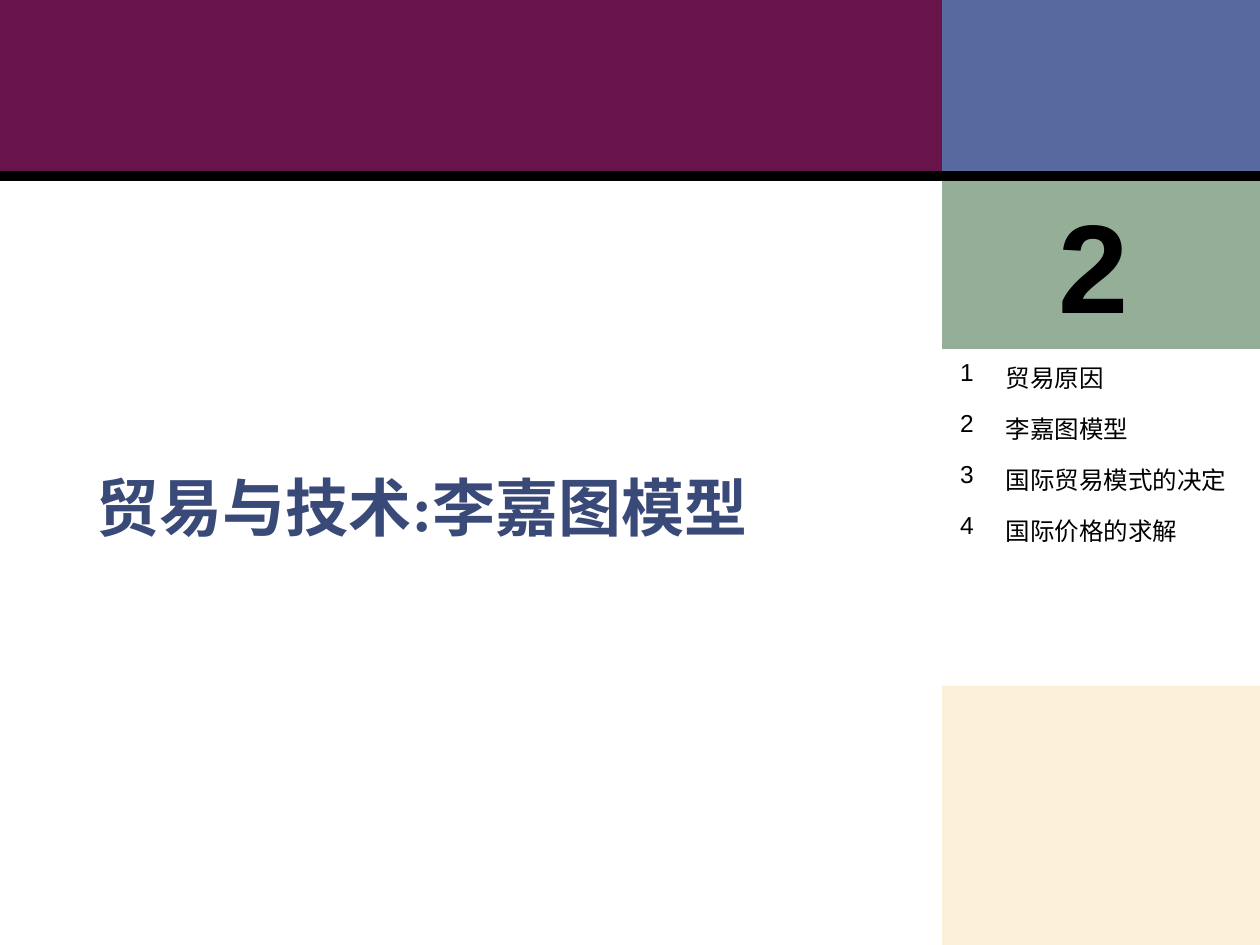
from pptx import Presentation
from pptx.dml.color import RGBColor
from pptx.enum.shapes import MSO_CONNECTOR, MSO_SHAPE
from pptx.enum.text import MSO_ANCHOR, PP_ALIGN
from pptx.oxml.ns import qn
from pptx.util import Pt
from lxml import etree


def rgb(color):
    return RGBColor.from_string(color)


def style(p, size, font, color, bold=False):
    f = p.runs[0].font
    f.size, f.name, f.bold = Pt(size), font, bold
    f.color.rgb = rgb(color)


prs = Presentation()
prs.slide_width, prs.slide_height = Pt(720), Pt(540)
s = prs.slides.add_slide(prs.slide_layouts[6])

# Colour blocks: a wide top band and a column on the right
SIDE = 538.4
SIDE_W = 720 - SIDE
BAND_H = 99.4
blocks = [
    (SIDE, 391.9, SIDE_W, 148.1, "FBEFD8"),
    (SIDE, BAND_H, SIDE_W, 100, "94AE98"),
    (0, 0, SIDE, BAND_H, "69134B"),
    (SIDE, 0, SIDE_W, BAND_H, "57699E"),
]
for x, y, w, h, color in blocks:
    sp = s.shapes.add_shape(MSO_SHAPE.RECTANGLE, Pt(x), Pt(y), Pt(w), Pt(h))
    sp.shadow.inherit = False
    sp.fill.solid()
    sp.fill.fore_color.rgb = rgb(color)
    sp.line.fill.background()

rule = s.shapes.add_connector(MSO_CONNECTOR.STRAIGHT, Pt(0), Pt(100.6), Pt(720), Pt(100.6))
rule.line.color.rgb = rgb("000000")
rule.line.width = Pt(6)
etree.SubElement(rule._element.spPr, qn("a:effectLst"))

# Chapter title and number
texts = [
    ("贸易与技术:李嘉图模型", 48.2, 264.2, 502 - 75, 51, 36, "Times New Roman", "394978",
     PP_ALIGN.LEFT, MSO_ANCHOR.TOP),
    ("2", 577.4, 103, 95, 94.3, 72, "Arial", "000000", PP_ALIGN.CENTER, MSO_ANCHOR.MIDDLE),
]
for text, x, y, w, h, size, font, color, align, anchor in texts:
    tf = s.shapes.add_textbox(Pt(x), Pt(y), Pt(w), Pt(h)).text_frame
    tf.word_wrap = True
    tf.vertical_anchor = anchor
    p = tf.paragraphs[0]
    p.text = text
    p.alignment = align
    style(p, size, font, color, bold=True)

# Numbered contents
topics = ["贸易原因", "李嘉图模型", "国际贸易模式的决定", "国际价格的求解"]
ROW_H = 29.2
table = s.shapes.add_table(len(topics), 2, Pt(541.4), Pt(201.6), Pt(178), Pt(ROW_H * len(topics))).table
table.columns[0].width, table.columns[1].width = Pt(26), Pt(152)
for i, topic in enumerate(topics):
    table.rows[i].height = Pt(ROW_H)
    for j, text in enumerate((str(i + 1), topic)):
        cell = table.cell(i, j)
        cell.fill.background()
        p = cell.text_frame.paragraphs[0]
        p.text = text
        style(p, 14, "Arial", "000000")

prs.save("out.pptx")
